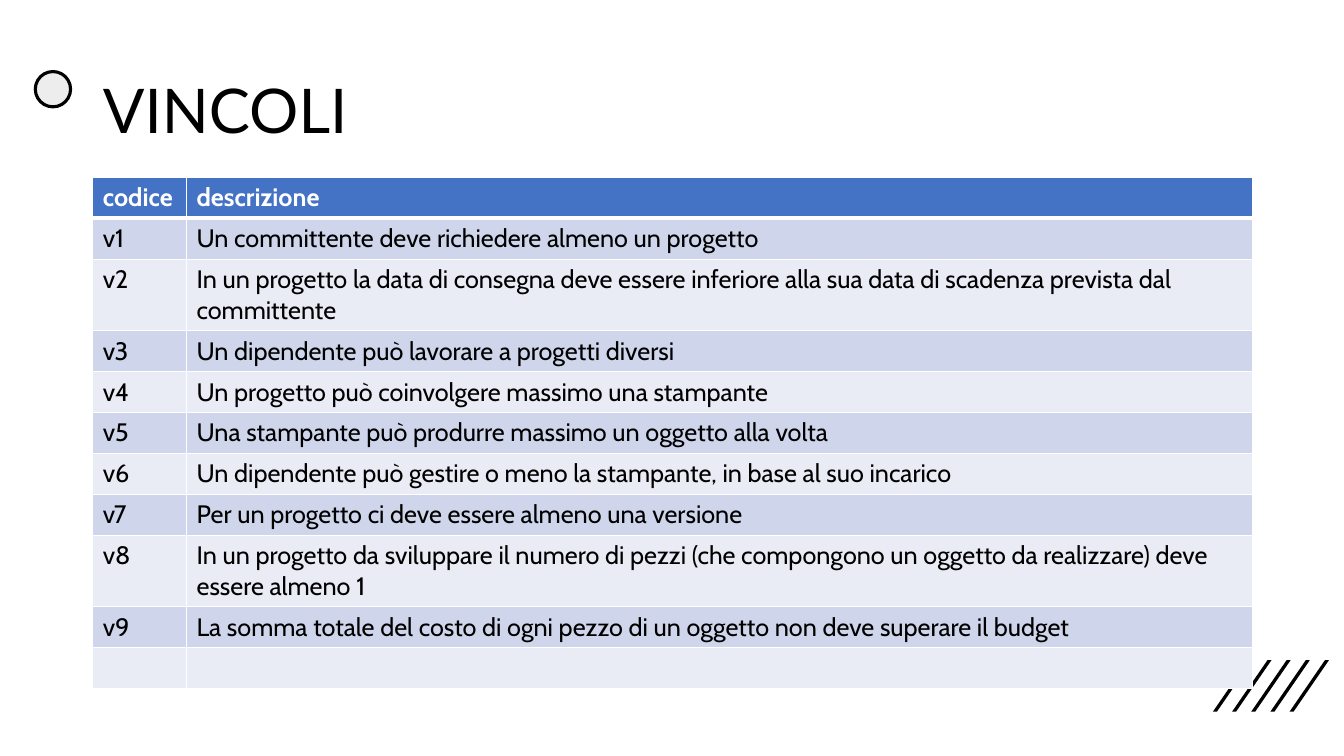
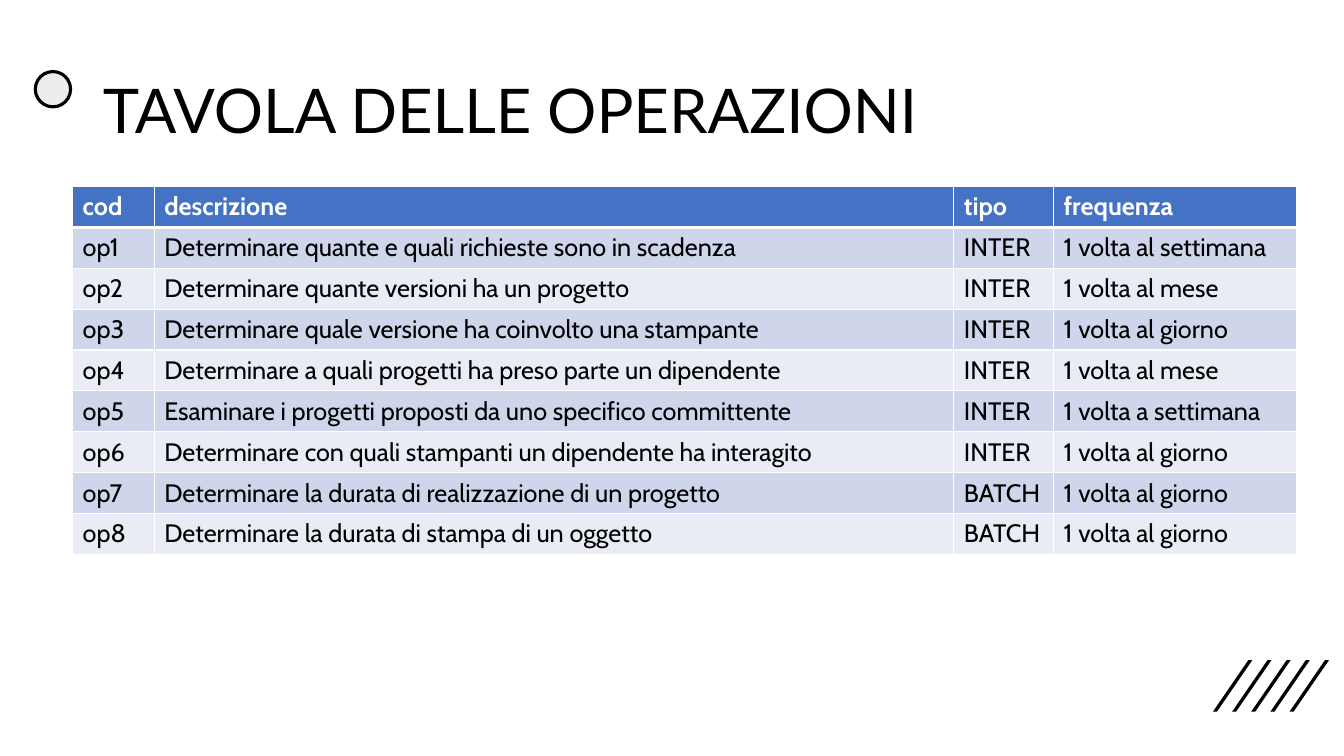
from dataclasses import dataclass

from lxml.etree import SubElement
from pptx import Presentation
from pptx.dml.color import RGBColor
from pptx.enum.shapes import MSO_SHAPE
from pptx.enum.text import MSO_ANCHOR, MSO_AUTO_SIZE, PP_ALIGN
from pptx.oxml.ns import qn
from pptx.slide import Slide
from pptx.table import _Cell
from pptx.util import Emu, Pt

PX = 9144  # 100 px to the inch
TITLE_FONT, TABLE_FONT = "Lato", "Cabin"
BLACK, WHITE, DOT_GRAY = "000000", "FFFFFF", "EDEDED"
HEADER_BLUE = "4472C4"
BANDS = ("CFD5EA", "E9EBF5")
STRIPE_COUNT, STRIPE_STEP = 5, 19


@dataclass(frozen=True)
class TablePage:
    title: str
    left: int
    top: int
    height: int
    columns: tuple[int, ...]
    rows: tuple[tuple[str, ...], ...]


PAGES = (
    TablePage(
        "VINCOLI", 92, 176, 446, (93, 1057),
        (
            ("codice", "descrizione"),
            ("v1", "Un committente deve richiedere almeno un progetto"),
            ("v2", "In un progetto la data di consegna deve essere inferiore alla sua "
                   "data di scadenza prevista dal committente"),
            ("v3", "Un dipendente può lavorare a progetti diversi"),
            ("v4", "Un progetto può coinvolgere massimo una stampante"),
            ("v5", "Una stampante può produrre massimo un oggetto alla volta"),
            ("v6", "Un dipendente può gestire o meno la stampante, in base al suo incarico"),
            ("v7", "Per un progetto ci deve essere almeno una versione"),
            ("v8", "In un progetto da sviluppare il numero di pezzi (che compongono un "
                   "oggetto da realizzare) deve essere almeno 1"),
            ("v9", "La somma totale del costo di ogni pezzo di un oggetto non deve "
                   "superare il budget"),
            ("", ""),
        ),
    ),
    TablePage(
        "TAVOLA DELLE OPERAZIONI", 72, 185, 365, (81, 793, 99, 241),
        (
            ("cod", "descrizione", "tipo", "frequenza"),
            ("op1", "Determinare quante e quali richieste sono in scadenza",
             "INTER", "1 volta al settimana"),
            ("op2", "Determinare quante versioni ha un progetto",
             "INTER", "1 volta al mese"),
            ("op3", "Determinare quale versione ha coinvolto una stampante",
             "INTER", "1 volta al giorno"),
            ("op4", "Determinare a quali progetti ha preso parte un dipendente",
             "INTER", "1 volta al mese"),
            ("op5", "Esaminare i progetti proposti da uno specifico committente",
             "INTER", "1 volta a settimana"),
            ("op6", "Determinare con quali stampanti un dipendente ha interagito",
             "INTER", "1 volta al giorno"),
            ("op7", "Determinare la durata di realizzazione di un progetto",
             "BATCH", "1 volta al giorno"),
            ("op8", "Determinare la durata di stampa di un oggetto",
             "BATCH", "1 volta al giorno"),
        ),
    ),
)


def px(length: int) -> Emu:
    return Emu(length * PX)


def color(code: str) -> RGBColor:
    return RGBColor.from_string(code)


def set_title(page: Slide, text: str) -> None:
    title = page.shapes.title
    title.left, title.top, title.width, title.height = px(92), px(40), px(1150), px(145)
    frame = title.text_frame
    frame.text = text
    frame.word_wrap = True
    frame.auto_size = MSO_AUTO_SIZE.NONE
    frame.vertical_anchor = MSO_ANCHOR.MIDDLE
    para = frame.paragraphs[0]
    para.alignment = PP_ALIGN.LEFT
    para.line_spacing = 0.9
    font = para.runs[0].font
    font.name, font.size = TITLE_FONT, Pt(44)
    font.color.rgb = color(BLACK)


def add_decoration(page: Slide) -> None:
    """Draw the slanted stripes at the bottom right and the dot beside the title."""
    for index in range(STRIPE_COUNT):
        left = 1203 + index * STRIPE_STEP
        builder = page.shapes.build_freeform(left + 4, 706, scale=PX)
        builder.add_line_segments([(left, 706), (left + 35, 655), (left + 39, 655)])
        stripe = builder.convert_to_shape()
        stripe.shadow.inherit = False
        stripe.fill.solid()
        stripe.fill.fore_color.rgb = color(BLACK)
        stripe.line.fill.background()

    dot = page.shapes.add_shape(MSO_SHAPE.OVAL, px(35), px(71), px(35), px(35))
    dot.shadow.inherit = False
    dot.fill.solid()
    dot.fill.fore_color.rgb = color(DOT_GRAY)
    dot.line.color.rgb = color(BLACK)
    dot.line.width = Pt(2.25)


def set_borders(cell: _Cell, top: int, bottom: int) -> None:
    """Give the cell white borders, with top and bottom widths in points."""
    properties = cell._tc.get_or_add_tcPr()
    widths = {"a:lnL": 1, "a:lnR": 1, "a:lnT": top, "a:lnB": bottom}
    for position, (tag, width) in enumerate(widths.items()):
        line = SubElement(properties, qn(tag), w=str(Pt(width)))
        fill = SubElement(line, qn("a:solidFill"))
        SubElement(fill, qn("a:srgbClr"), val=WHITE)
        properties.insert(position, line)


def format_cell(cell: _Cell, text: str, row: int) -> None:
    is_header = row == 0
    cell.text_frame.text = text
    cell.fill.solid()
    cell.fill.fore_color.rgb = color(HEADER_BLUE if is_header else BANDS[(row - 1) % 2])
    set_borders(cell, top=3 if row == 1 else 1, bottom=3 if is_header else 1)
    for span in cell.text_frame.paragraphs[0].runs:
        span.font.name, span.font.size = TABLE_FONT, Pt(18)
        span.font.bold = is_header
        span.font.color.rgb = color(WHITE if is_header else BLACK)


def add_page_table(page: Slide, content: TablePage) -> None:
    table = page.shapes.add_table(
        len(content.rows), len(content.columns), px(content.left), px(content.top),
        px(sum(content.columns)), px(content.height),
    ).table
    for column, width in zip(table.columns, content.columns):
        column.width = px(width)
    for row, texts in enumerate(content.rows):
        for column, text in enumerate(texts):
            format_cell(table.cell(row, column), text, row)


def main() -> None:
    deck = Presentation()
    deck.slide_width, deck.slide_height = px(1333), px(750)
    title_only = deck.slide_layouts.get_by_name("Title Only")
    for content in PAGES:
        page = deck.slides.add_slide(title_only)
        set_title(page, content.title)
        add_decoration(page)
        add_page_table(page, content)
    deck.save("out.pptx")


if __name__ == "__main__":
    main()
